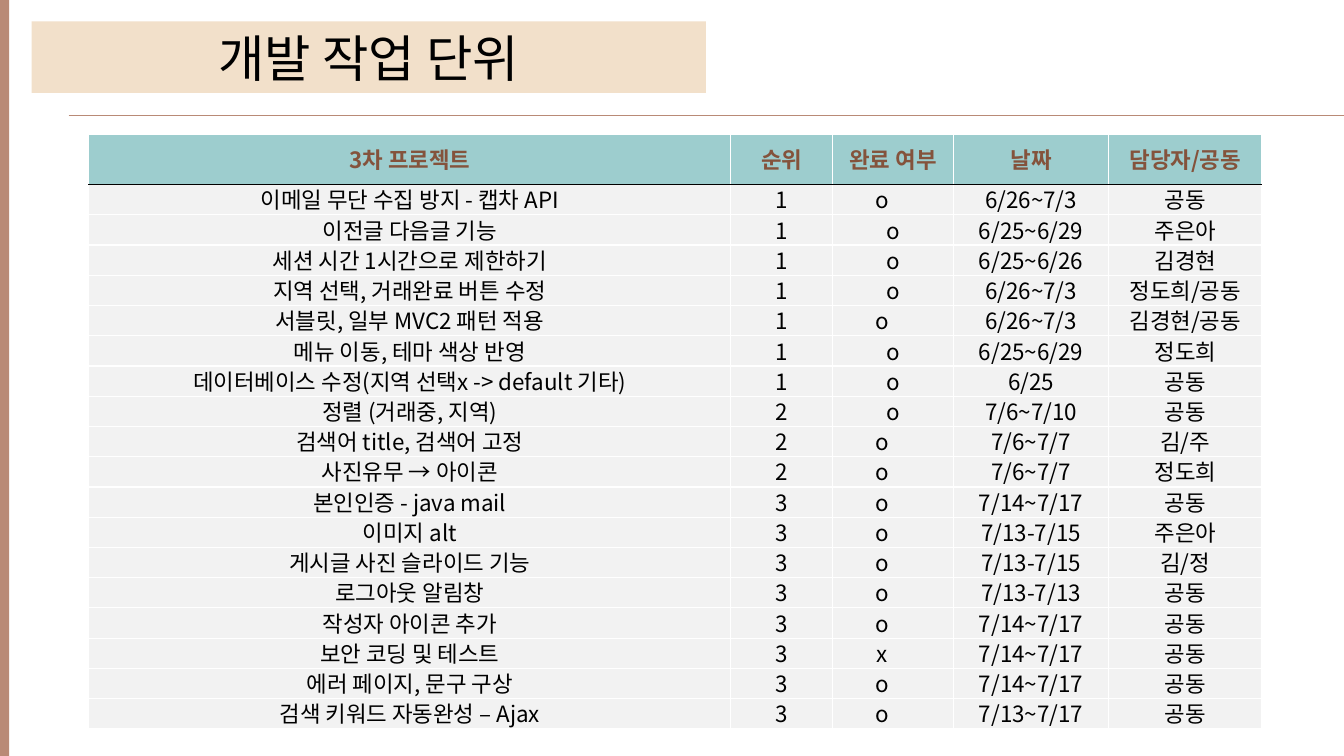
from lxml import etree
from pptx import Presentation
from pptx.dml.color import RGBColor
from pptx.enum.shapes import MSO_CONNECTOR, MSO_SHAPE
from pptx.enum.text import MSO_ANCHOR, PP_ALIGN
from pptx.oxml.ns import qn
from pptx.util import Pt

RECT = MSO_SHAPE.RECTANGLE
STRAIGHT = MSO_CONNECTOR.STRAIGHT
CENTER = PP_ALIGN.CENTER
MIDDLE = MSO_ANCHOR.MIDDLE

FONT = "Noto Sans CJK KR"
COLORS = {
    "black": "000000",
    "white": "FFFFFF",
    "clay": "B98A76",
    "sand": "F2E0CA",
    "teal": "9DCDCE",
    "brown": "84533C",
    "gray": "F2F2F2",
}

WIDTHS = [458.6, 72.7, 86.4, 110.9, 109.4]
HEADER_HEIGHT = 36
ROW_HEIGHT = 21.6
MARK_COLUMN = 2
MARK_INDENT = 16
CENTERED_MARKS = {2, 3, 4, 6, 7, 8}

HEADER = ["3차 프로젝트", "순위", "완료 여부", "날짜", "담당자/공동"]
TASKS = [
    ["이메일 무단 수집 방지 - 캡차 API", "1", "o", "6/26~7/3", "공동"],
    ["이전글 다음글 기능", "1", "o", "6/25~6/29", "주은아"],
    ["세션 시간 1시간으로 제한하기", "1", "o", "6/25~6/26", "김경현"],
    ["지역 선택, 거래완료 버튼 수정", "1", "o", "6/26~7/3", "정도희/공동"],
    ["서블릿, 일부 MVC2 패턴 적용", "1", "o", "6/26~7/3", "김경현/공동"],
    ["메뉴 이동, 테마 색상 반영", "1", "o", "6/25~6/29", "정도희"],
    ["데이터베이스 수정(지역 선택x -> default 기타)", "1", "o", "6/25", "공동"],
    ["정렬 (거래중, 지역)", "2", "o", "7/6~7/10", "공동"],
    ["검색어 title, 검색어 고정", "2", "o", "7/6~7/7", "김/주"],
    ["사진유무 → 아이콘", "2", "o", "7/6~7/7", "정도희"],
    ["본인인증 - java mail", "3", "o", "7/14~7/17", "공동"],
    ["이미지 alt", "3", "o", "7/13-7/15", "주은아"],
    ["게시글 사진 슬라이드 기능", "3", "o", "7/13-7/15", "김/정"],
    ["로그아웃 알림창", "3", "o", "7/13-7/13", "공동"],
    ["작성자 아이콘 추가", "3", "o", "7/14~7/17", "공동"],
    ["보안 코딩 및 테스트", "3", "x", "7/14~7/17", "공동"],
    ["에러 페이지, 문구 구상", "3", "o", "7/14~7/17", "공동"],
    ["검색 키워드 자동완성 – Ajax", "3", "o", "7/13~7/17", "공동"],
]


def rgb(name):
    return RGBColor.from_string(COLORS[name])


class SlideBuilder:
    def __init__(self, slide):
        self.s = slide

    def text(self, tf, text, size, color, bold=False, spacing=1.0):
        p = tf.paragraphs[0]
        p.alignment = CENTER
        p.line_spacing = spacing
        r = p.add_run()
        r.text = text
        for key, value in {"size": Pt(size), "bold": bold, "name": FONT}.items():
            setattr(r.font, key, value)
        r.font.color.rgb = rgb(color)
        ea = etree.SubElement(r.font._element, qn("a:ea"))
        ea.set("typeface", FONT)

    def rect(self, x, y, w, h, fill):
        sp = self.s.shapes.add_shape(RECT, Pt(x), Pt(y), Pt(w), Pt(h))
        sp.shadow.inherit = False
        sp.fill.solid()
        sp.fill.fore_color.rgb = rgb(fill)
        sp.line.fill.background()
        return sp

    def title(self, x, y, w, h, text):
        sp = self.rect(x, y, w, h, "sand")
        sp.text_frame.word_wrap = True
        sp.text_frame.vertical_anchor = MIDDLE
        self.text(sp.text_frame, text, 36, "black")

    def line(self, x1, y1, x2, y2, color, width):
        cx = self.s.shapes.add_connector(STRAIGHT, Pt(x1), Pt(y1), Pt(x2), Pt(y2))
        cx.line.color.rgb = rgb(color)
        cx.line.width = Pt(width)
        etree.SubElement(cx._element.spPr, qn("a:effectLst"))

    def borders(self, cell, black_side):
        tcPr = cell._tc.get_or_add_tcPr()
        for i, side in enumerate(["lnL", "lnR", "lnT", "lnB"]):
            color, width = ("black", 0.5) if side == black_side else ("white", 1)
            ln = etree.Element(qn(f"a:{side}"), w=str(Pt(width)))
            fill = etree.SubElement(ln, qn("a:solidFill"))
            etree.SubElement(fill, qn("a:srgbClr"), val=COLORS[color])
            tcPr.insert(i, ln)

    def cell(self, cell, text, fill, color, bold, black_side, indent):
        margins = {"margin_left": 0.7, "margin_right": 0.7 + indent,
                   "margin_top": 0.7, "margin_bottom": 0}
        for key, value in margins.items():
            setattr(cell, key, Pt(value))
        cell.vertical_anchor = MIDDLE
        cell.fill.solid()
        cell.fill.fore_color.rgb = rgb(fill)
        self.borders(cell, black_side)
        self.text(cell.text_frame, text, 16, color, bold, 0.9)

    def table(self, x, y, rows):
        height = HEADER_HEIGHT + ROW_HEIGHT * (len(rows) - 1)
        frame = self.s.shapes.add_table(len(rows), len(WIDTHS), Pt(x), Pt(y),
                                        Pt(sum(WIDTHS)), Pt(height))
        tbl = frame.table
        tbl.horz_banding = False
        for column, width in zip(tbl.columns, WIDTHS):
            column.width = Pt(width)
        for i, values in enumerate(rows):
            header = i == 0
            tbl.rows[i].height = Pt(HEADER_HEIGHT if header else ROW_HEIGHT)
            fill, color = ("teal", "brown") if header else ("gray", "black")
            black_side = {0: "lnB", 1: "lnT"}.get(i)
            for j, value in enumerate(values):
                shifted = j == MARK_COLUMN and not header and i not in CENTERED_MARKS
                self.cell(tbl.cell(i, j), value, fill, color, header, black_side,
                          MARK_INDENT if shifted else 0)


def main():
    prs = Presentation()
    prs.slide_width, prs.slide_height = Pt(960), Pt(540)
    b = SlideBuilder(prs.slides.add_slide(prs.slide_layouts[6]))
    b.line(49, 82.5, 960, 82.5, "clay", 0.5)
    b.rect(0, 0, 6.5, 540, "clay")
    b.title(22.5, 15.3, 481.7, 51, "개발 작업 단위")
    b.table(63.4, 95.8, [HEADER] + TASKS)
    prs.save("out.pptx")


if __name__ == "__main__":
    main()
